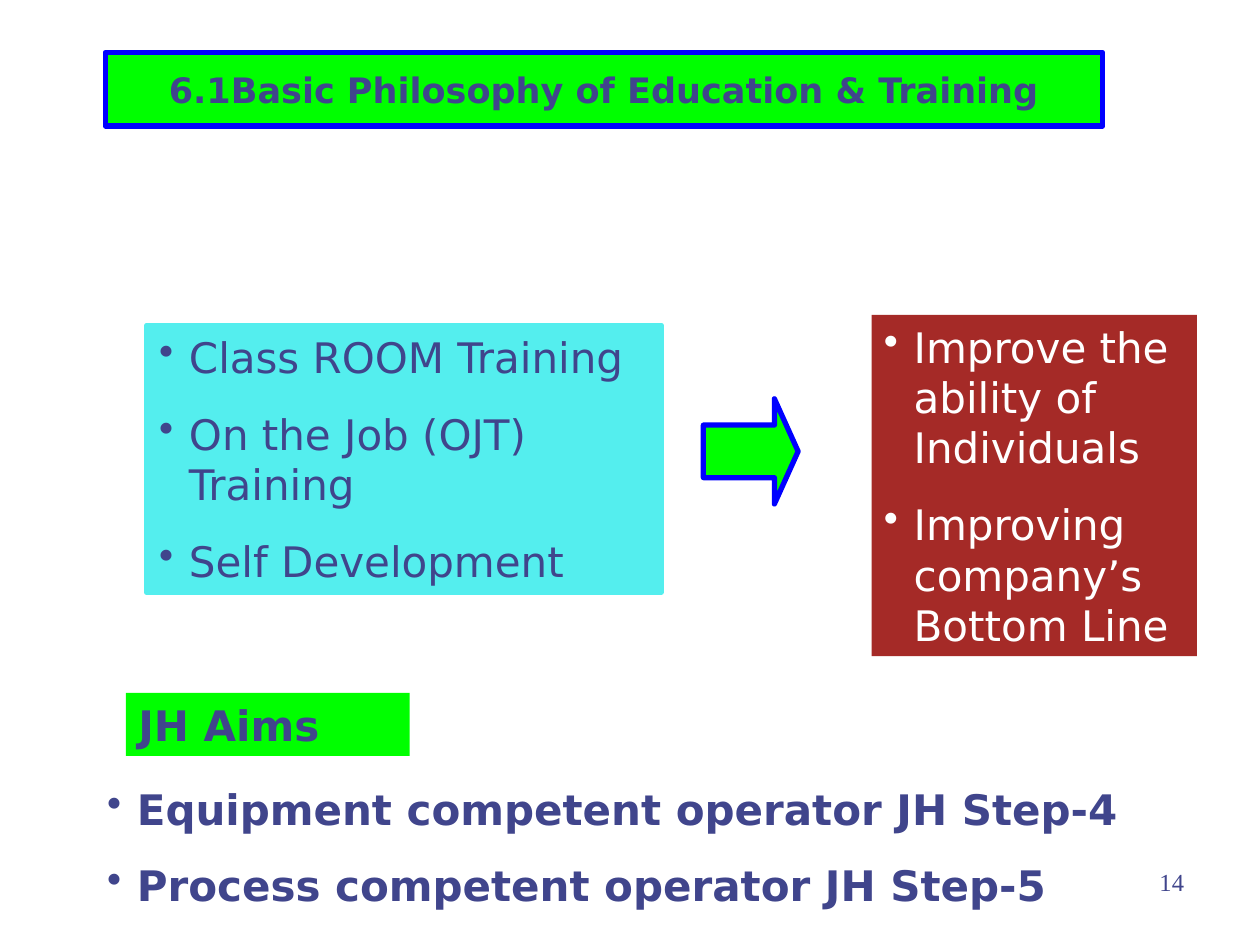
"""Build the training philosophy slide."""
from dataclasses import dataclass
from typing import Optional

from lxml import etree
from pptx import Presentation
from pptx import util as u
from pptx.dml.color import RGBColor
from pptx.enum import shapes, text
from pptx.oxml import ns

INK, GREEN, BLUE, CYAN, RED, WHITE = (
    "40458C", "00FF00", "0000FF", "54EEEE", "A52A27", "FFFFFF")
SANS, SERIF = "DejaVu Sans", "Times New Roman"
HANG = u.Cm(0.6)


@dataclass
class Panel:
    box: tuple
    lines: tuple
    fill: Optional[str] = None
    edge: Optional[str] = None
    ink: str = INK
    bold: bool = False
    dots: bool = True
    size: int = 24
    font: str = SANS
    gap: int = 15
    align: text.PP_ALIGN = text.PP_ALIGN.LEFT
    fit: text.MSO_AUTO_SIZE = text.MSO_AUTO_SIZE.SHAPE_TO_FIT_TEXT


PANELS = (
    Panel((18.2, 17.36, 5.92, 1.31), ("14",), dots=False, size=14, font=SERIF,
          gap=0, align=text.PP_ALIGN.RIGHT, fit=text.MSO_AUTO_SIZE.NONE),
    Panel((2.96, 6.56, 10.37, 5.38),
          ("Class ROOM Training", "On the Job (OJT) Training",
           "Self Development"), CYAN, CYAN),
    Panel((17.57, 6.35, 6.56, 6.88),
          ("Improve the ability of Individuals",
           "Improving company’s Bottom Line"), RED, ink=WHITE),
    Panel((2.54, 13.97, 5.72, 1.27), ("JH Aims",), GREEN,
          bold=True, dots=False),
    Panel((1.91, 15.66, 21.17, 2.82),
          ("Equipment competent operator JH Step-4",
           "Process competent operator JH Step-5"), bold=True),
)


def color(code: str) -> RGBColor:
    """Turn a hex string into a colour."""
    return RGBColor.from_string(code)


def cms(box: tuple) -> list:
    """Turn centimetres into lengths."""
    return [u.Cm(n) for n in box]


def paint(shape, fill: Optional[str], edge: Optional[str]) -> None:
    """Set the fill and outline of a shape."""
    if fill:
        shape.fill.solid()
        shape.fill.fore_color.rgb = color(fill)
    if edge:
        shape.line.color.rgb = color(edge)
        shape.line.width = u.Pt(3)
    else:
        shape.line.fill.background()


def style(para, size: int, font: str, ink: str, bold: bool) -> None:
    """Format the runs of a paragraph."""
    for run in para.runs:
        run.font.size = u.Pt(size)
        run.font.name = font
        run.font.bold = bold
        run.font.color.rgb = color(ink)


def bullet(para, ink: str) -> None:
    """Give a paragraph a coloured bullet with a hanging indent."""
    props = para._p.get_or_add_pPr()
    props.set("marL", str(HANG))
    props.set("indent", str(-HANG))
    tint = etree.SubElement(props, ns.qn("a:buClr"))
    etree.SubElement(tint, ns.qn("a:srgbClr"), val=ink)
    etree.SubElement(props, ns.qn("a:buChar"), char="•")


def draw_panel(slide, panel: Panel) -> None:
    """Draw a text panel, with a rectangle when it is filled."""
    if panel.fill:
        shape = slide.shapes.add_shape(
            shapes.MSO_SHAPE.RECTANGLE, *cms(panel.box))
        shape.shadow.inherit = False
        paint(shape, panel.fill, panel.edge)
    else:
        shape = slide.shapes.add_textbox(*cms(panel.box))
    frame = shape.text_frame
    frame.text = "\n".join(panel.lines)
    frame.word_wrap = True
    frame.auto_size = panel.fit
    frame.vertical_anchor = text.MSO_ANCHOR.TOP
    for para in frame.paragraphs:
        para.alignment = panel.align
        para.space_before = u.Pt(panel.gap)
        if panel.dots:
            bullet(para, panel.ink)
        style(para, panel.size, panel.font, panel.ink, panel.bold)


def draw_title(slide) -> None:
    """Fill and place the title."""
    title = slide.shapes.title
    title.left, title.top, title.width, title.height = cms(
        (2.12, 1.06, 20.11, 1.48))
    paint(title, GREEN, BLUE)
    frame = title.text_frame
    frame.text = "6.1Basic Philosophy of Education & Training"
    frame.word_wrap = False
    frame.auto_size = text.MSO_AUTO_SIZE.NONE
    frame.vertical_anchor = text.MSO_ANCHOR.MIDDLE
    frame.paragraphs[0].alignment = text.PP_ALIGN.CENTER
    style(frame.paragraphs[0], 20, SANS, INK, True)


def draw_arrow(slide) -> None:
    """Draw the arrow from the methods to the results."""
    arrow = slide.shapes.add_shape(
        shapes.MSO_SHAPE.RIGHT_ARROW, *cms((14.18, 8.04, 1.91, 2.12)))
    arrow.adjustments[0] = 0.5
    arrow.adjustments[1] = 0.25
    arrow.shadow.inherit = False
    paint(arrow, GREEN, BLUE)


def main() -> None:
    """Build and save the slide."""
    deck = Presentation()
    deck.slide_width, deck.slide_height = cms((25.4, 19.05))
    slide = deck.slides.add_slide(deck.slide_layouts[5])
    draw_title(slide)
    for panel in PANELS:
        draw_panel(slide, panel)
    draw_arrow(slide)
    deck.save("out.pptx")


if __name__ == "__main__":
    main()
